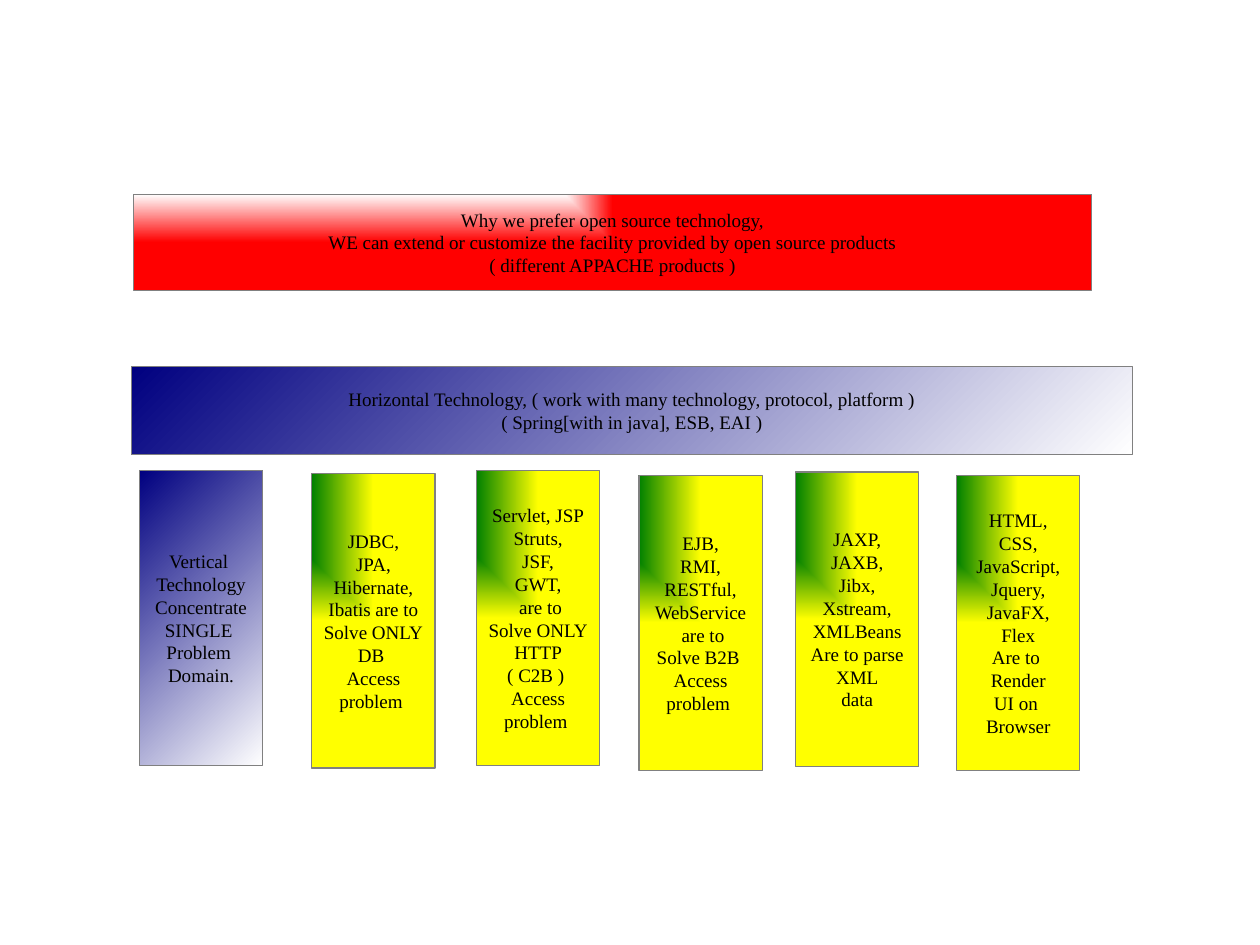
from dataclasses import dataclass

from lxml.etree import SubElement
from pptx import Presentation
from pptx.dml.color import RGBColor
from pptx.enum.shapes import MSO_SHAPE as Preset
from pptx.enum.text import MSO_ANCHOR as Anchor, PP_ALIGN as Align
from pptx.oxml.ns import qn
from pptx.shapes.autoshape import Shape
from pptx.shapes.shapetree import SlideShapes
from pptx.text.text import TextFrame
from pptx.util import Cm, Pt


@dataclass(frozen=True)
class Gradient:
    start: str
    end: str
    from_corner: bool = False


@dataclass(frozen=True)
class Theme:
    font: str = "Times New Roman"
    size: float = 12
    ink: str = "000000"
    outline: str = "808080"
    outline_width: float = 0.75
    red: Gradient = Gradient("FFFFFF", "FF0000", from_corner=True)
    blue: Gradient = Gradient("000080", "FFFFFF")
    yellow: Gradient = Gradient("008000", "FFFF00", from_corner=True)


@dataclass(frozen=True)
class Panel:
    left: float
    top: float
    width: float
    height: float
    gradient: Gradient
    lines: tuple[str, ...]


THEME = Theme()
COLUMN_WIDTH, COLUMN_HEIGHT = 2.74, 6.55


def column(left: float, top: float, *lines: str,
           gradient: Gradient = THEME.yellow) -> Panel:
    return Panel(left, top, COLUMN_WIDTH, COLUMN_HEIGHT, gradient, lines)


# Wide bands
BANDS = (
    Panel(2.97, 4.32, 21.29, 2.13, THEME.red, (
        "Why we prefer open source technology,",
        "WE can extend or customize the facility provided by open source products",
        "( different APPACHE products )")),
    Panel(2.92, 8.15, 22.25, 1.96, THEME.blue, (
        "Horizontal Technology, ( work with many technology, protocol, platform )",
        "( Spring[with in java], ESB, EAI )")),
)

# Vertical technologies, one column per problem domain
COLUMNS = (
    column(3.1, 10.46, "Vertical ", "Technology", "Concentrate", "SINGLE ",
           "Problem ", "Domain.", gradient=THEME.blue),
    column(6.93, 10.52, "JDBC,", "JPA,", "Hibernate,", "Ibatis are to",
           "Solve ONLY", "DB ", "Access", "problem "),
    column(10.59, 10.46, "Servlet, JSP", "Struts,", "JSF,", "GWT,", " are to",
           "Solve ONLY", "HTTP", "( C2B ) ", "Access", "problem "),
    column(14.2, 10.57, "EJB,", "RMI,", "RESTful,", "WebService", " are to",
           "Solve B2B ", "Access", "problem "),
    column(17.68, 10.49, "JAXP,", "JAXB,", "Jibx,", "Xstream,", "XMLBeans",
           "Are to parse", "XML", "data"),
    column(21.26, 10.57, "HTML,", "CSS,", "JavaScript,", "Jquery,", "JavaFX,",
           "Flex", "Are to ", "Render", "UI on ", "Browser"),
)


def write_lines(frame: TextFrame, lines: tuple[str, ...], *,
                font: str = THEME.font, size: float = THEME.size,
                color: str = THEME.ink, align: Align = Align.CENTER) -> None:
    frame.text = "\n".join(lines)
    for paragraph in frame.paragraphs:
        paragraph.alignment = align
        for run in paragraph.runs:
            run.font.name = font
            run.font.size = Pt(size)
            run.font.color.rgb = RGBColor.from_string(color)


def paint(shape: Shape, gradient: Gradient) -> None:
    shape.fill.gradient()
    shape.fill.gradient_angle = 315
    for stop, color in zip(shape.fill.gradient_stops,
                           (gradient.start, gradient.end)):
        stop.color.rgb = RGBColor.from_string(color)
    if gradient.from_corner:
        # Spread from the top left corner instead of along a line
        grad_fill = shape._element.spPr.find(qn("a:gradFill"))
        grad_fill.remove(grad_fill.find(qn("a:lin")))
        spread = SubElement(grad_fill, qn("a:path"), path="rect")
        SubElement(spread, qn("a:fillToRect"),
                   l="0", t="0", r="100000", b="100000")


def draw_panel(shapes: SlideShapes, panel: Panel) -> None:
    box = shapes.add_shape(Preset.RECTANGLE, Cm(panel.left), Cm(panel.top),
                           Cm(panel.width), Cm(panel.height))
    box.shadow.inherit = False
    paint(box, panel.gradient)
    box.line.color.rgb = RGBColor.from_string(THEME.outline)
    box.line.width = Pt(THEME.outline_width)
    frame = box.text_frame
    frame.word_wrap = True
    frame.vertical_anchor = Anchor.MIDDLE
    frame.margin_left = frame.margin_right = Cm(0)
    frame.margin_top = frame.margin_bottom = Cm(0)
    write_lines(frame, panel.lines)


def main() -> None:
    deck = Presentation()
    deck.slide_width, deck.slide_height = Cm(28), Cm(21)
    slide = deck.slides.add_slide(deck.slide_layouts[6])
    for panel in BANDS + COLUMNS:
        draw_panel(slide.shapes, panel)
    deck.save("out.pptx")


if __name__ == "__main__":
    main()
